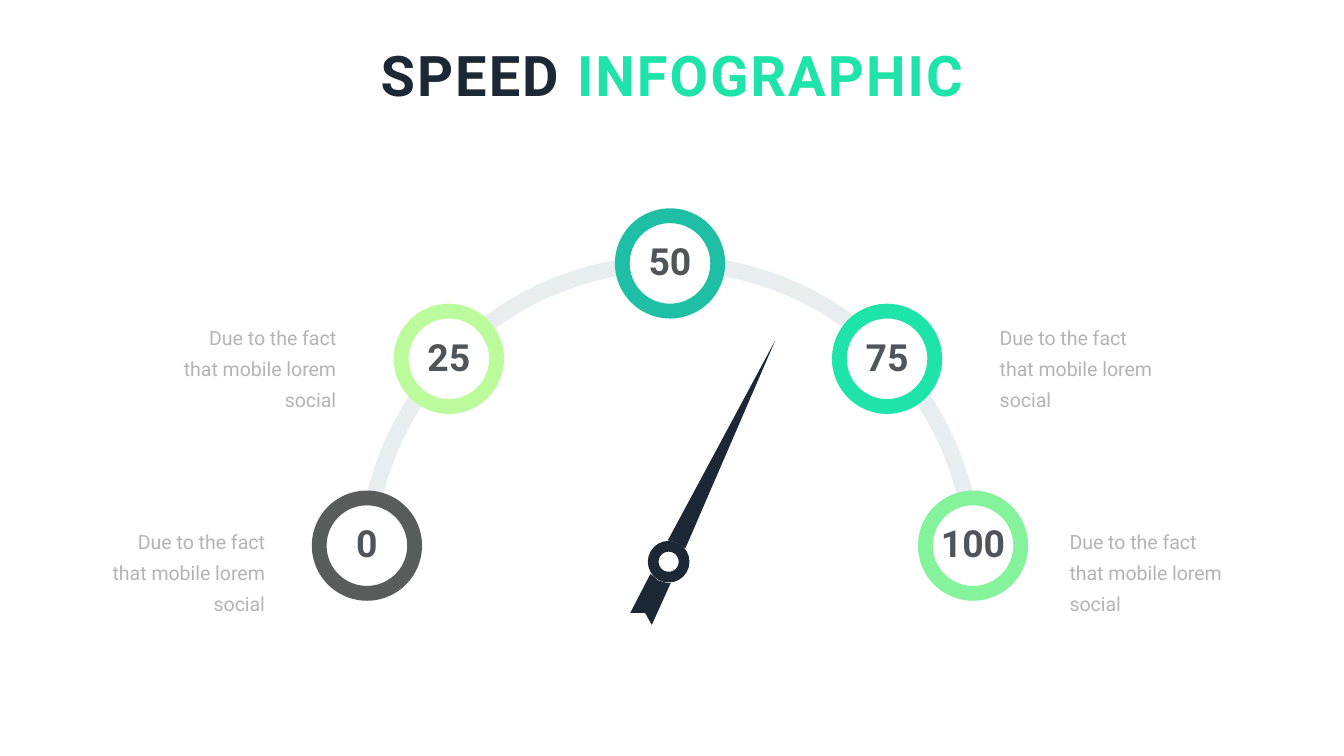
from math import atan2, cos, dist, sin

from lxml.etree import SubElement
from pptx import Presentation
from pptx.dml.color import RGBColor
from pptx.enum.shapes import MSO_SHAPE
from pptx.enum.text import MSO_ANCHOR, MSO_AUTO_SIZE, PP_ALIGN
from pptx.oxml.ns import qn
from pptx.util import Inches, Pt

COLORS = {
    "navy": "1C2835", "mint": "1FE4A9", "teal": "1EBFA4", "lime": "BBFB9B",
    "green": "84F39B", "charcoal": "5A5C5B", "track": "CFDADD",
    "number": "4F5559", "caption": "B4B4B4",
}
CAPTION = "Due to the fact that mobile lorem social"


def paint(shape, color):
    shape.shadow.inherit = False
    shape.fill.solid()
    shape.fill.fore_color.rgb = RGBColor.from_string(COLORS[color])
    shape.line.fill.background()


def add_span(para, text, color, **font_format):
    span = para.add_run()
    span.text = text
    span.font.color.rgb = RGBColor.from_string(COLORS[color])
    for name, value in {"name": "Roboto", **font_format}.items():
        setattr(span.font, name, value)
    return span


# A 16:9 page
deck = Presentation()
deck.slide_width = Inches(10)
deck.slide_height = Inches(10 * 9 / 16)
page = deck.slides.add_slide(deck.slide_layouts[5])

# Needle and its tail
needle = [(5.1, 4.08), (5.77, 2.53), (4.97, 4.02), (5.04, 4.04)]
tail = [(4.84, 4.27), (4.69, 4.56), (4.8, 4.56), (4.85, 4.65), (4.99, 4.34),
        (4.97, 4.34), (4.9, 4.32)]
outlines = [(needle, "navy"), (tail, "navy")]

# Track segments: arcs between neighbouring rings, tucked under their edges
center_x, center_y = 4.985, 4.22
ring_size, steps = 0.82, 120
rings = [
    ("0", 2.73, 4.06, "charcoal"),
    ("25", 3.34, 2.67, "lime"),
    ("50", 4.985, 1.96, "teal"),
    ("75", 6.6, 2.67, "mint"),
    ("100", 7.24, 4.06, "green"),
]
for first, second in zip(rings, rings[1:]):
    ends = [first[1:3], second[1:3]]
    start, stop = [atan2(x - center_x, center_y - y) for x, y in ends]
    edges = []
    for radius in (2.32, 2.2):
        angles = [start + (stop - start) * step / steps for step in range(steps + 1)]
        points = [(center_x + radius * sin(angle), center_y - radius * cos(angle))
                  for angle in angles]
        edges.append([point for point in points
                      if min(dist(point, end) for end in ends) >= 0.4])
    outer, inner = edges
    outlines.append((outer + inner[::-1], "track"))

for points, color in outlines:
    corners = [(Inches(x), Inches(y)) for x, y in points]
    builder = page.shapes.build_freeform(*corners[0])
    builder.add_line_segments(corners[1:], close=True)
    shape = builder.convert_to_shape()
    paint(shape, color)
    if color == "track":
        fill_color = shape.fill._xPr.find(qn("a:solidFill"))[0]
        SubElement(fill_color, qn("a:alpha")).set("val", "46000")

# Hub and numbered rings
number_format = {
    "margin_left": 0, "margin_right": 0, "margin_top": 0,
    "margin_bottom": Inches(0.04), "word_wrap": False,
    "vertical_anchor": MSO_ANCHOR.MIDDLE,
}
donuts = [("", 4.975, 4.18, "navy", 0.31, 0.08)]
donuts += [(*ring, ring_size, 0.11) for ring in rings]
for number, x, y, color, size, band in donuts:
    donut = page.shapes.add_shape(
        MSO_SHAPE.DONUT, Inches(x - size / 2), Inches(y - size / 2),
        Inches(size), Inches(size))
    donut.adjustments[0] = band / size
    paint(donut, color)
    if number:
        for name, value in number_format.items():
            setattr(donut.text_frame, name, value)
        para = donut.text_frame.paragraphs[0]
        para.alignment = PP_ALIGN.CENTER
        add_span(para, number, "number", size=Pt(20), bold=True)

# Captions
for left, top, alignment in [
    (0.65, 3.84, PP_ALIGN.RIGHT), (1.18, 2.32, PP_ALIGN.RIGHT),
    (7.86, 3.84, PP_ALIGN.LEFT), (7.34, 2.32, PP_ALIGN.LEFT),
]:
    box = page.shapes.add_textbox(Inches(left), Inches(top), Inches(1.42), Inches(0.82))
    box.text_frame.word_wrap = True
    para = box.text_frame.paragraphs[0]
    para.alignment = alignment
    para.line_spacing = Pt(16.6)
    add_span(para, CAPTION, "caption", size=Pt(10.5))

# Title
title = page.shapes.title
title.left, title.top = Inches(2.79), Inches(0.3)
title.width, title.height = Inches(4.42), Inches(0.5)
title_format = {
    "margin_left": 0, "margin_right": 0, "margin_top": 0, "margin_bottom": 0,
    "word_wrap": False, "auto_size": MSO_AUTO_SIZE.NONE,
    "vertical_anchor": MSO_ANCHOR.MIDDLE,
}
for name, value in title_format.items():
    setattr(title.text_frame, name, value)
para = title.text_frame.paragraphs[0]
para.alignment = PP_ALIGN.CENTER
for text, color in [("SPEED ", "navy"), ("INFOGRAPHIC", "mint")]:
    span = add_span(para, text, color, size=Pt(30), bold=True)
    span.font._element.set("spc", "110")

deck.save("out.pptx")
